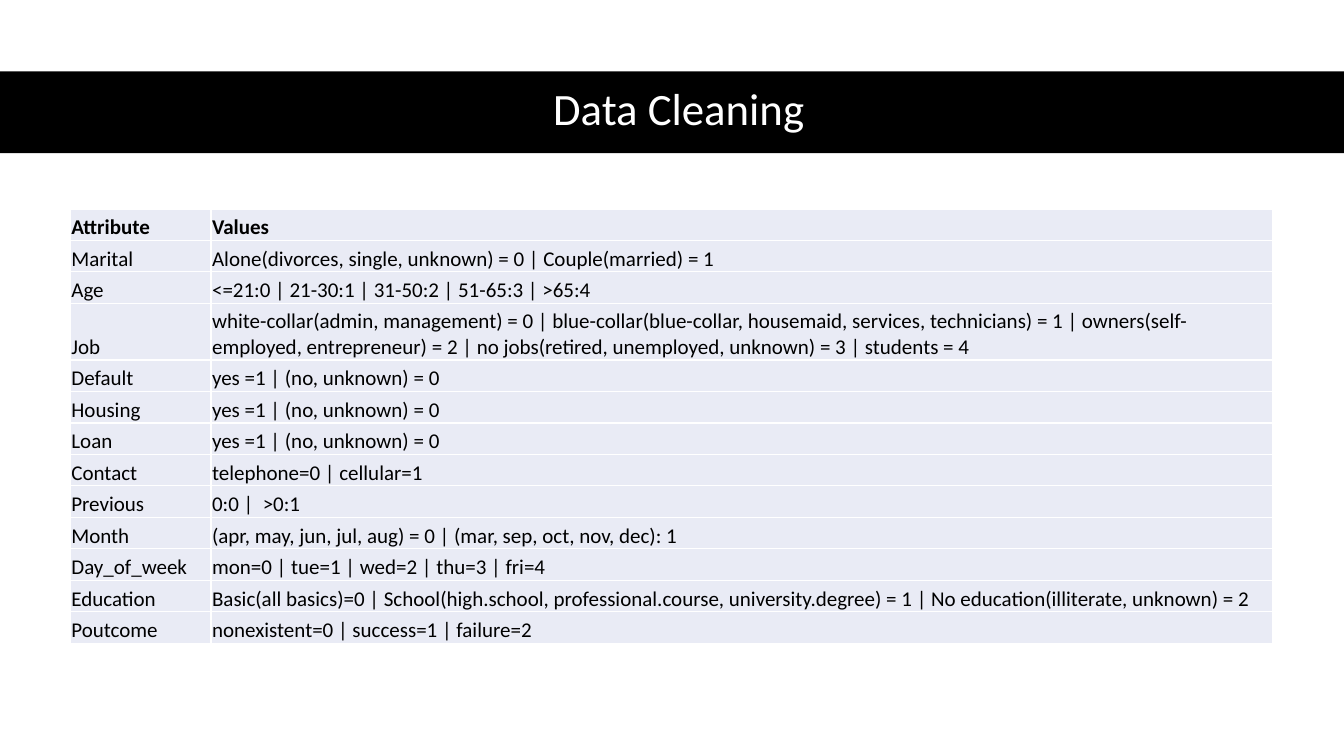
from pptx import Presentation
from pptx import util as u
from pptx.dml import color
from pptx.enum import shapes, text
from pptx.oxml import parse_xml
from pptx.oxml import ns

FONT = "Calibri"
BLACK, WHITE, ROW_TINT = "000000", "FFFFFF", "E9EBF5"
COLUMN_WIDTHS = (134, 1011)
LINE_HEIGHT, WRAPPED_HEIGHT = 30, 54
YES_NO = "yes =1 | (no, unknown) = 0"
RECODINGS = (
    ("Attribute", "Values"),
    ("Marital", "Alone(divorces, single, unknown) = 0 | Couple(married) = 1"),
    ("Age", "<=21:0 | 21-30:1 | 31-50:2 | 51-65:3 | >65:4"),
    ("Job", "white-collar(admin, management) = 0 | blue-collar(blue-collar, "
            "housemaid, services, technicians) = 1 | owners(self-employed, "
            "entrepreneur) = 2 | no jobs(retired, unemployed, unknown) = 3 | "
            "students = 4"),
    ("Default", YES_NO),
    ("Housing", YES_NO),
    ("Loan", YES_NO),
    ("Contact", "telephone=0 | cellular=1"),
    ("Previous", "0:0 |  >0:1"),
    ("Month", "(apr, may, jun, jul, aug) = 0 | (mar, sep, oct, nov, dec): 1"),
    ("Day_of_week", "mon=0 | tue=1 | wed=2 | thu=3 | fri=4"),
    ("Education", "Basic(all basics)=0 | School(high.school, "
                  "professional.course, university.degree) = 1 | "
                  "No education(illiterate, unknown) = 2"),
    ("Poutcome", "nonexistent=0 | success=1 | failure=2"),
)


def px(length):
    """Turn pixels, 96 to the inch, into EMU."""
    return u.Emu(length * 9525)


def paint(fill, hex_color):
    """Make a fill solid in the given colour."""
    fill.solid()
    fill.fore_color.rgb = color.RGBColor.from_string(hex_color)


def write(frame, wording, size, hex_color, bold=False):
    """Put one formatted paragraph into a text frame and return it."""
    frame.text = wording
    frame.word_wrap = True
    paragraph = frame.paragraphs[0]
    for run in paragraph.runs:
        run.font.name, run.font.size, run.font.bold = FONT, u.Pt(size), bold
        paint(run.font.fill, hex_color)
    return paragraph


def add_band(slide, left, top, width, height):
    """Draw the black band behind the title."""
    band = slide.shapes.add_shape(
        shapes.MSO_SHAPE.RECTANGLE, *map(px, (left, top, width, height)))
    band.shadow.inherit = False
    paint(band.fill, BLACK)
    band.line.fill.background()


def add_title(slide, wording, left, top, width, height):
    """Write the centred slide title."""
    title = slide.shapes.add_textbox(*map(px, (left, top, width, height)))
    title.text_frame.vertical_anchor = text.MSO_ANCHOR.MIDDLE
    paragraph = write(title.text_frame, wording, 32, WHITE)
    paragraph.alignment = text.PP_ALIGN.CENTER
    paragraph.line_spacing = 0.9


def add_borders(cell):
    """Give a cell thin white lines on all four sides."""
    properties = cell._tc.get_or_add_tcPr()
    for side in "LRTB":
        properties.append(parse_xml(
            f'<a:ln{side} {ns.nsdecls("a")} w="12700"><a:solidFill>'
            f'<a:srgbClr val="{WHITE}"/></a:solidFill></a:ln{side}>'))


def fill_cell(cell, wording, bold):
    """Write and style one table cell."""
    cell.margin_left = cell.margin_right = cell.margin_top = px(1)
    cell.margin_bottom = 0
    cell.vertical_anchor = text.MSO_ANCHOR.BOTTOM
    add_borders(cell)
    paint(cell.fill, ROW_TINT)
    write(cell.text_frame, wording, 15, BLACK, bold)


def add_recoding_table(slide, left, top):
    """Build the table of attributes and their recoded values."""
    heights = [WRAPPED_HEIGHT if attribute == "Job" else LINE_HEIGHT
               for attribute, _ in RECODINGS]
    table = slide.shapes.add_table(
        len(RECODINGS), len(COLUMN_WIDTHS), px(left), px(top),
        px(sum(COLUMN_WIDTHS)), px(sum(heights))).table
    table.first_row = table.horz_banding = False
    for column, width in zip(table.columns, COLUMN_WIDTHS):
        column.width = px(width)
    for index, (row, height) in enumerate(zip(table.rows, heights)):
        row.height = px(height)
        for cell, wording in zip(row.cells, RECODINGS[index]):
            fill_cell(cell, wording, bold=index == 0)


def main():
    """Build and save the data cleaning slide."""
    deck = Presentation()
    deck.slide_width, deck.slide_height = px(1280), px(720)
    slide = deck.slides.add_slide(deck.slide_layouts[6])
    add_band(slide, 0, 68, 1280, 78)
    add_title(slide, "Data Cleaning", 58, 67, 1177, 78)
    add_recoding_table(slide, 67, 199)
    deck.save("out.pptx")


if __name__ == "__main__":
    main()
